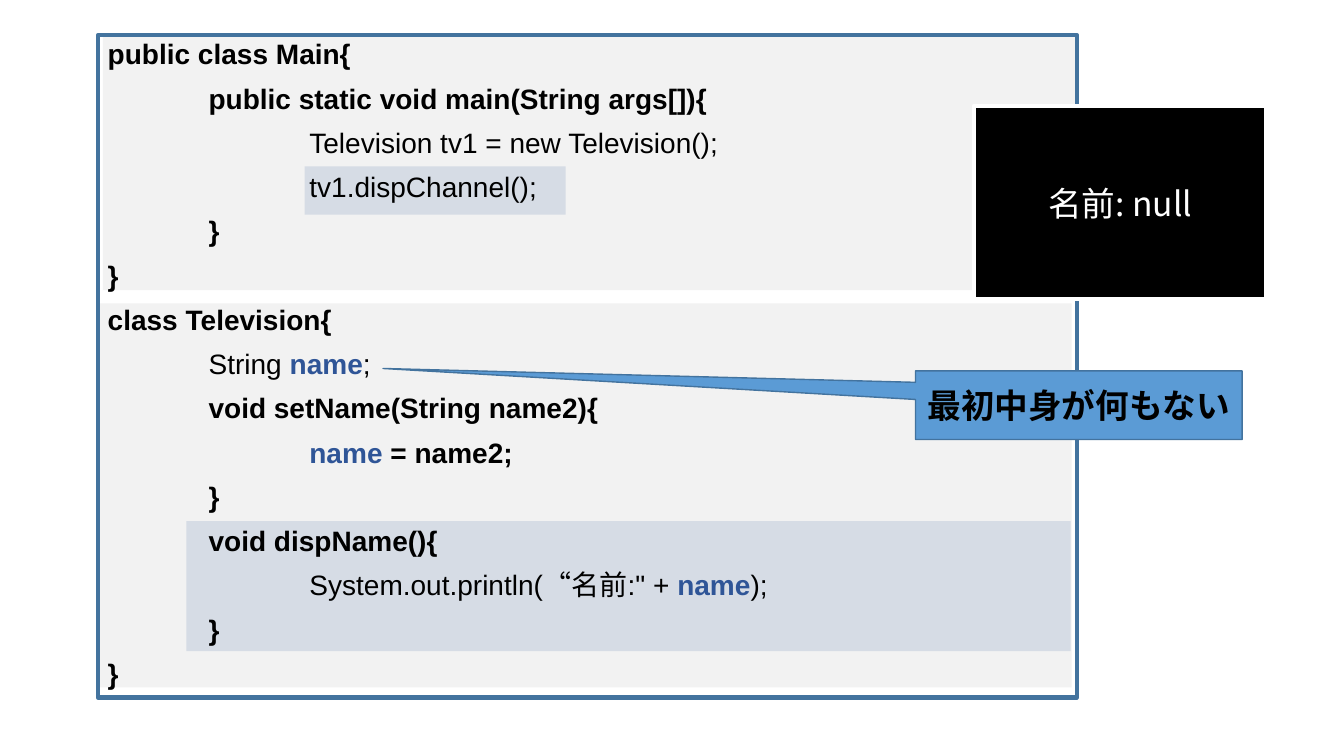
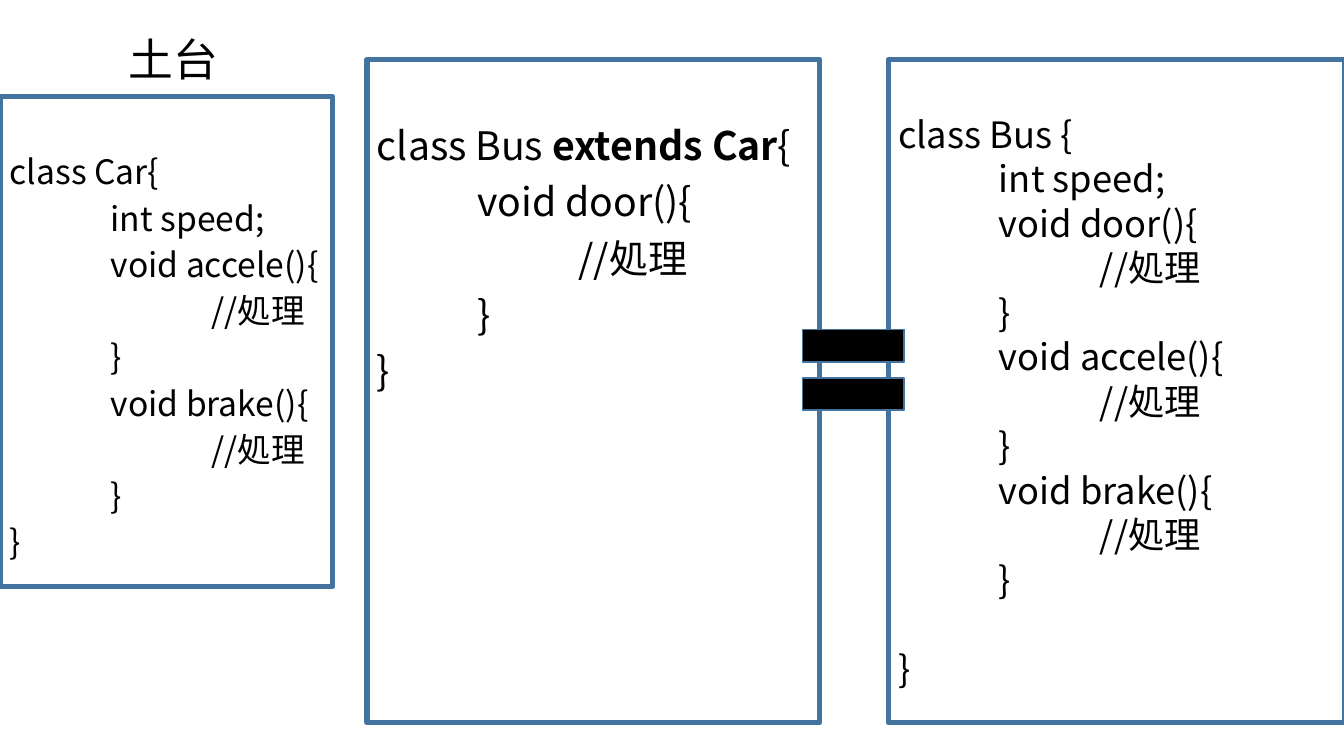
from dataclasses import dataclass
from lxml import etree
from pptx import Presentation
from pptx.dml.color import RGBColor
from pptx.enum.shapes import MSO_SHAPE
from pptx.enum.text import MSO_ANCHOR, PP_ALIGN
from pptx.oxml.ns import qn
from pptx.util import Inches, Pt


@dataclass(frozen=True)
class Theme:
    latin: str = "Arial"
    cjk: str = "Noto Sans CJK JP"
    ink: str = "000000"
    paper: str = "FFFFFF"
    border: str = "43739E"
    panel: str = "F2F2F2"
    highlight: str = "D6DCE5"
    accent: str = "5B9BD5"
    variable: str = "2F5597"
    code_size: float = 20
    note_size: float = 24
    title_size: float = 32
    gap: float = 10          # points before each code line
    line_height: float = 1.2  # single line, as a multiple of the type size


T = Theme()

# Content: each code line is (indent level, runs); each run is (text, style)
PLAIN, BOLD, VAR = "plain", "bold", "variable"
TV_CODE = [
    (0, [("public class Main{", BOLD)]),
    (1, [("public static void main(String args[]){", BOLD)]),
    (2, [("Television tv1 = new Television();", PLAIN)]),
    (2, [("tv1.dispChannel();", PLAIN)]),
    (1, [("}", BOLD)]),
    (0, [("}", BOLD)]),
    (0, [("class Television{", BOLD)]),
    (1, [("String ", PLAIN), ("name", VAR), (";", PLAIN)]),
    (1, [("void setName(String name2){", BOLD)]),
    (2, [("name", VAR), (" = name2;", BOLD)]),
    (1, [("}", BOLD)]),
    (1, [("void dispName(){", BOLD)]),
    (2, [("System.out.println(“名前:\" + ", PLAIN), ("name", VAR), (");", PLAIN)]),
    (1, [("}", BOLD)]),
    (0, [("}", BOLD)]),
]
TV_BOX = (0.97, 0.35, 9.71, 6.57)
TV_BANDS = [
    ((0.97, 3.01, 9.66, 3.81), T.panel),
    ((1.02, 0.35, 9.66, 2.53), T.panel),
    ((3.02, 1.65, 2.59, 0.48), T.highlight),
    ((1.85, 5.17, 8.77, 1.29), T.highlight),
]
CALLOUT = ("最初中身が何もない", (9.08, 3.68, 3.24, 0.68), (-2.13, -0.536))
CONSOLE = ("名前: null", (9.66, 1.05, 2.9, 1.92))


def method(name):
    return [(1, [(f"void {name}(){{", PLAIN)]), (2, [("//処理", PLAIN)]),
            (1, [("}", PLAIN)])]


SPEED = (1, [("int speed;", PLAIN)])
CLOSE = (0, [("}", PLAIN)])
CAR_CODE = [(0, [("class Car{", PLAIN)]), SPEED,
            *method("accele"), *method("brake"), CLOSE]
BUS_CODE = [(0, [("class Bus ", PLAIN), ("extends Car", BOLD), ("{", PLAIN)]),
            *method("door"), CLOSE]
FULL_BUS_CODE = [(0, [("class Bus {", PLAIN)]), SPEED, *method("door"),
                 *method("accele"), *method("brake"), CLOSE]
# Box, code, type size, line spacing, top inset, blank lines before the last
CLASSES = [
    ((0, 0.96, 3.3, 4.86), CAR_CODE, 24, 0.8, 0.62, 0),
    ((3.64, 0.59, 4.49, 6.58), BUS_CODE, 28, 0.9, 0.66, 0),
    ((8.81, 0.59, 4.53, 6.58), FULL_BUS_CODE, 25.9, 0.7, 0.65, 1),
]
BASE_LABEL = ("土台", (1.18, 0.27, 1.63, 0.64))
EQUAL_SIGN = (7.78, 2.99, 1.37, 1.36)


# Shared helpers
def rgb(color):
    return RGBColor.from_string(color)


def add_box(s, box, fill=None, line=None, width=1, kind=MSO_SHAPE.RECTANGLE):
    sp = s.shapes.add_shape(kind, *map(Inches, box))
    sp.shadow.inherit = False
    if fill:
        sp.fill.solid()
        sp.fill.fore_color.rgb = rgb(fill)
    else:
        sp.fill.background()
    if line:
        sp.line.color.rgb = rgb(line)
        sp.line.width = Pt(width)
    else:
        sp.line.fill.background()
    return sp


def set_font(p, size, name, color=T.ink, bold=False):
    font = p.font
    font.name, font.size, font.bold = name, Pt(size), bold
    font.color.rgb = rgb(color)
    ea = etree.Element(qn("a:ea"), typeface=T.cjk)
    font._element.find(qn("a:latin")).addnext(ea)


def add_label(sp, text, size, color=T.ink, bold=False, align=PP_ALIGN.CENTER):
    tf = sp.text_frame
    tf.word_wrap = True
    p = tf.paragraphs[0]
    p.alignment = align
    p.add_run().text = text
    set_font(p, size, T.cjk, color, bold)


def add_code(sp, lines, size, spacing, name, top=0.05, blanks=0):
    tf = sp.text_frame
    tf.word_wrap = True
    tf.vertical_anchor = MSO_ANCHOR.TOP
    tf.margin_top = Inches(top)
    height = round(size * T.line_height * spacing, 2)
    for i, (level, runs) in enumerate(lines):
        p = tf.paragraphs[0] if i == 0 else tf.add_paragraph()
        p.alignment = PP_ALIGN.LEFT
        p.line_spacing = Pt(height)
        skipped = blanks * (height + T.gap) if i == len(lines) - 1 else 0
        p.space_before = Pt(T.gap + skipped if i else 0)
        p._p.get_or_add_pPr().set("marL", str(Inches(level)))
        set_font(p, size, name, bold=all(style != PLAIN for _, style in runs))
        for text, style in runs:
            r = p.add_run()
            r.text = text
            if len(runs) > 1:
                r.font.bold = style != PLAIN
            if style == VAR:
                r.font.color.rgb = rgb(T.variable)


prs = Presentation()
prs.slide_width, prs.slide_height = Inches(13.33), Inches(7.5)
blank = prs.slide_layouts[6]

# Slide 1: the field before it has a value
s = prs.slides.add_slide(blank)
for box, fill in TV_BANDS:
    add_box(s, box, fill)
add_code(add_box(s, TV_BOX, line=T.border, width=3),
         TV_CODE, T.code_size, 0.9, T.latin)

text, box, tip = CALLOUT
callout = add_box(s, box, T.accent, T.border, kind=MSO_SHAPE.RECTANGULAR_CALLOUT)
callout.adjustments[0], callout.adjustments[1] = tip
add_label(callout, text, T.note_size, bold=True)

text, box = CONSOLE
add_label(add_box(s, box, T.ink, T.paper, 3), text, T.note_size, T.paper)

# Slide 2: inheritance, base class and result
s = prs.slides.add_slide(blank)
for box, code, size, spacing, top, blanks in CLASSES:
    add_code(add_box(s, box, line=T.border, width=3.75),
             code, size, spacing, T.cjk, top, blanks)

text, box = BASE_LABEL
add_label(s.shapes.add_textbox(*map(Inches, box)), text, T.title_size,
          align=PP_ALIGN.LEFT)
add_box(s, EQUAL_SIGN, T.ink, T.border, kind=MSO_SHAPE.MATH_EQUAL)

prs.save("out.pptx")
